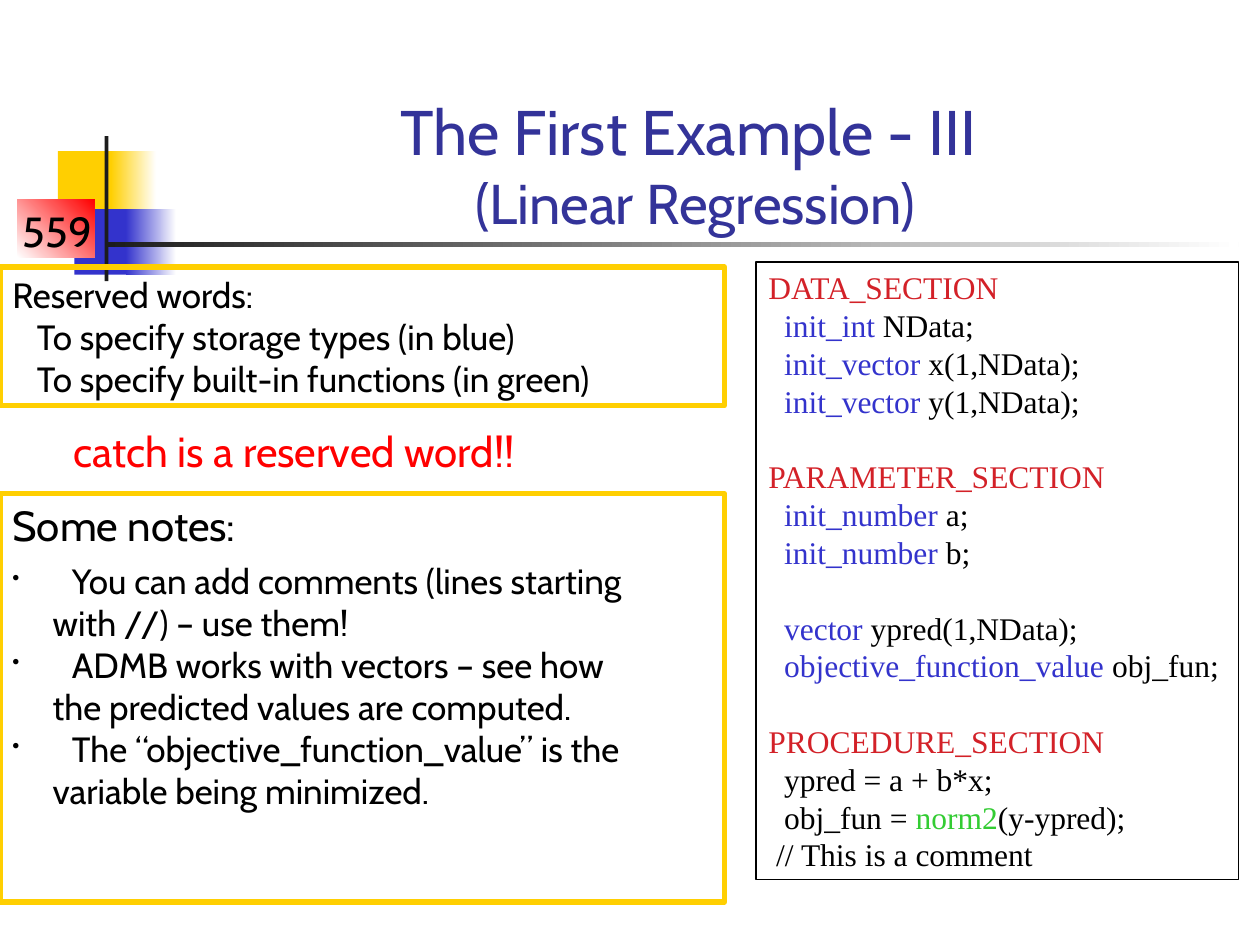
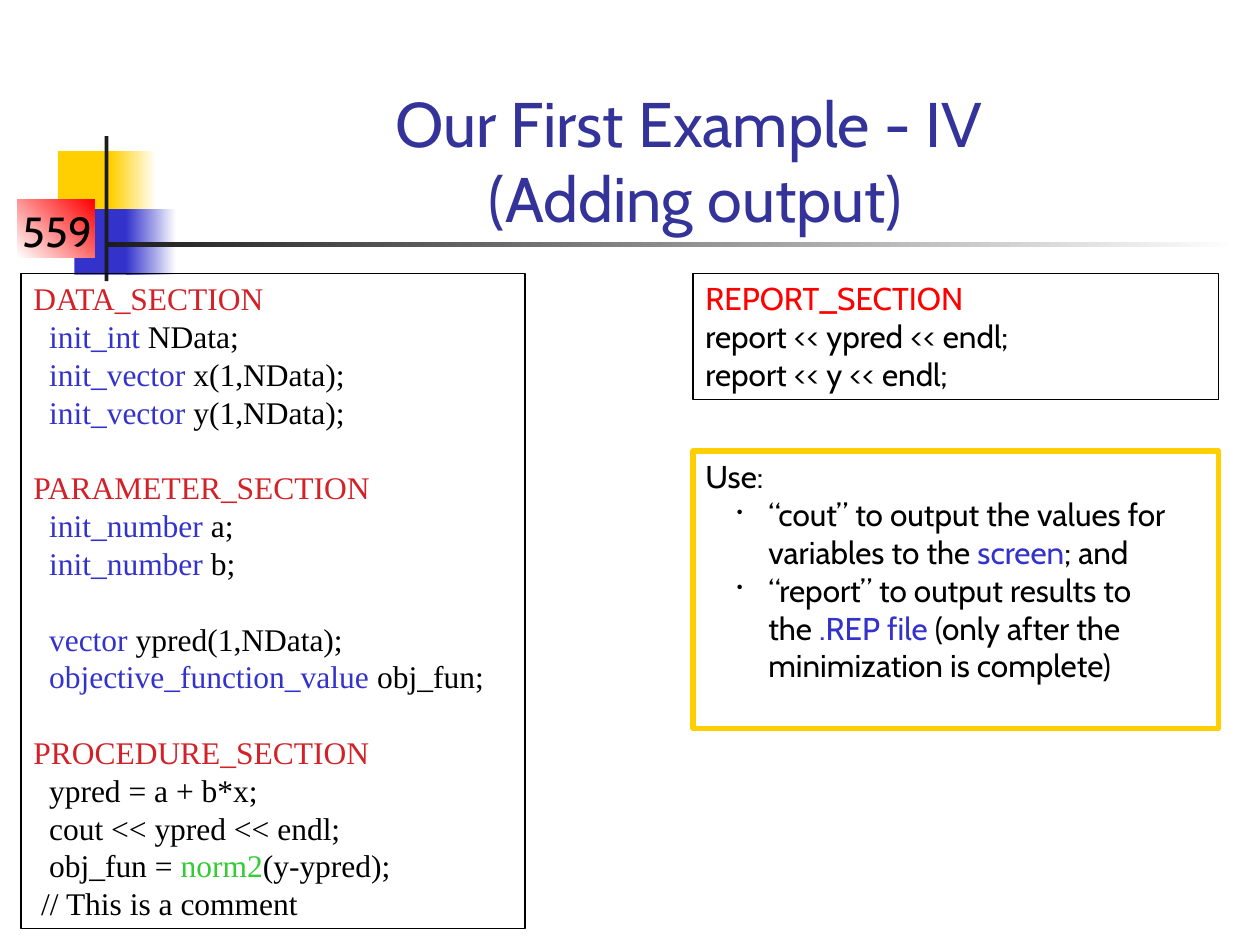
from lxml import etree
from pptx import Presentation
from pptx.dml.color import RGBColor
from pptx.enum.shapes import MSO_SHAPE
from pptx.enum.text import MSO_ANCHOR, MSO_AUTO_SIZE, PP_ALIGN
from pptx.oxml.ns import qn
from pptx.util import Pt

RECT = MSO_SHAPE.RECTANGLE
LEFT, CENTER = PP_ALIGN.LEFT, PP_ALIGN.CENTER
TOP, BOTTOM = MSO_ANCHOR.TOP, MSO_ANCHOR.BOTTOM
NO_FIT = MSO_AUTO_SIZE.NONE

COLORS = {
    "black": "000000", "white": "FFFFFF", "ink": "1C1C1C",
    "title": "333399", "gold": "FFCF01", "blue": "3333CC",
    "red": "FF0000", "section": "D32128", "green": "33CC33",
}
SANS, SERIF = "Cabin", "Times New Roman"
CODE_SIZE, CODE_LEADING, CODE_SPACE = 18, 21.6, 4.5
STORAGE_TYPES = {"init_int", "init_vector", "init_number", "vector",
                 "objective_function_value"}
BUILT_IN = "norm2"

CODE_HEAD = [
    "DATA_SECTION",
    "  init_int NData;",
    "  init_vector x(1,NData);",
    "  init_vector y(1,NData);",
    "",
    "PARAMETER_SECTION",
    "  init_number a;",
    "  init_number b;",
    "",
    "  vector ypred(1,NData);",
    "  objective_function_value obj_fun;",
    "",
    "PROCEDURE_SECTION",
    "  ypred = a + b*x;",
]
CODE_TAIL = ["  obj_fun = norm2(y-ypred);", " // This is a comment"]
OUTPUT_LINE = "  cout << ypred << endl;"


def rgb(name):
    return RGBColor.from_string(COLORS[name])


def highlight(line):
    """Split a code line into (text, colour) runs."""
    if line.endswith("_SECTION"):
        return [(line, "section")]
    word, space, rest = line.partition(" ")
    if word in STORAGE_TYPES:
        return [(word, "blue"), (space + rest, "black")]
    before, name, after = line.partition(BUILT_IN)
    runs = [(before, "black"), (name, "green"), (after, "black")]
    return [run for run in runs if run[0]]


class Deck:
    def __init__(self):
        self.prs = Presentation()
        self.prs.slide_width, self.prs.slide_height = Pt(720), Pt(540)
        self.s = None

    def slide(self, *title_lines):
        """Start a slide with the shared band and a title of (text, size) lines."""
        self.s = self.prs.slides.add_slide(self.prs.slide_layouts[5])
        self.band()
        sp = self.s.shapes.title
        sp.left, sp.top, sp.width, sp.height = Pt(90.7), Pt(48.2), Pt(613.5), Pt(90)
        tf = self.frame(sp, BOTTOM)
        for text, size in title_lines:
            self.para(tf, [(text, "title")], size, align=CENTER)

    def band(self):
        self.block(33.1, 86.4, 34.6, 37.4, "gold")
        self.block(63.4, 86.4, 25.9, 37.4, "gold", "white")
        self.block(42.5, 119.5, 33.1, 37.4, "blue")
        self.block(72, 119.5, 28.8, 37.4, "blue", "white")
        self.block(10, 113.8, 44, 33.1, "white", "red", 45)
        self.block(59.8, 77.8, 2.2, 82.8, "ink")
        self.block(59.8, 138.2, 648, 2.9, "ink", "white")
        self.label("559", 5.8, 113.8, 54, 64.8)

    def block(self, x, y, w, h, color, fade_to=None, angle=0):
        sp = self.s.shapes.add_shape(RECT, Pt(x), Pt(y), Pt(w), Pt(h))
        sp.shadow.inherit = False
        sp.line.fill.background()
        if fade_to:
            sp.fill.gradient()
            sp.fill.gradient_angle = angle
            for stop, name in zip(sp.fill.gradient_stops, (color, fade_to)):
                stop.color.rgb = rgb(name)
        else:
            sp.fill.solid()
            sp.fill.fore_color.rgb = rgb(color)

    def label(self, text, x, y, w, h, color="black", wrap=True):
        sp = self.s.shapes.add_textbox(Pt(x), Pt(y), Pt(w), Pt(h))
        tf = self.frame(sp, wrap=wrap)
        self.para(tf, [(text, color)], 24, align=CENTER)

    def box(self, x, y, w, h, line="gold", weight=3):
        """Draw an outlined box and return its text frame."""
        sp = self.s.shapes.add_shape(RECT, Pt(x), Pt(y), Pt(w), Pt(h))
        sp.shadow.inherit = False
        sp.fill.background()
        sp.line.color.rgb = rgb(line)
        sp.line.width = Pt(weight)
        return self.frame(sp)

    def code_box(self, x, y, w, h, lines):
        tf = self.box(x, y, w, h, "black", 0.75)
        gap = 0
        for line in lines:
            if not line:
                gap = CODE_LEADING
                continue
            code = line.lstrip()
            self.para(tf, highlight(code), CODE_SIZE, font=SERIF, before=gap,
                      indent=CODE_SPACE * (len(line) - len(code)),
                      leading=CODE_LEADING)
            gap = 0

    def frame(self, sp, anchor=TOP, wrap=True):
        tf = sp.text_frame
        tf.word_wrap = wrap
        tf.auto_size = NO_FIT
        tf.vertical_anchor = anchor
        return tf

    def para(self, tf, runs, size, font=SANS, align=LEFT, indent=0, hang=0,
             bullet_size=None, before=0, leading=None):
        """Add a paragraph of (text, colour) runs; bullet_size is in percent."""
        p = tf.paragraphs[0]
        if p.runs:
            p = tf.add_paragraph()
        p.alignment = align
        p.space_before = Pt(before)
        if leading:
            p.line_spacing = Pt(leading)
        pPr = p._p.get_or_add_pPr()
        pPr.set("marL", str(Pt(indent)))
        pPr.set("indent", str(Pt(-hang)))
        if bullet_size:
            color = etree.SubElement(pPr, qn("a:buClr"))
            etree.SubElement(color, qn("a:srgbClr"), val=COLORS["black"])
            etree.SubElement(pPr, qn("a:buSzPct"), val=str(bullet_size * 1000))
            etree.SubElement(pPr, qn("a:buChar"), char="•")
        for text, name in runs:
            r = p.add_run()
            r.text = text
            r.font.name = font
            r.font.size = Pt(size)
            r.font.color.rgb = rgb(name)


def regression_slide(deck):
    deck.slide(("The First Example - III ", 36), ("(Linear Regression)", 32))
    deck.code_box(432, 149.8, 275.8, 352.8, CODE_HEAD + CODE_TAIL)

    tf = deck.box(0, 152.6, 414, 79.2)
    deck.para(tf, [("Reserved words:", "black")], 20)
    for text in ("To specify storage types (in blue)",
                 "To specify built-in functions (in green)"):
        deck.para(tf, [(text, "black")], 20, indent=14)

    tf = deck.box(0, 282.2, 414, 233.3)
    deck.para(tf, [("Some notes:", "black")], 24)
    notes = [
        ("You can add comments (lines starting", "with //) – use them!"),
        ("ADMB works with vectors – see how", "the predicted values are computed."),
        ("The “objective_function_value” is the", "variable being minimized."),
    ]
    for i, (first, second) in enumerate(notes):
        deck.para(tf, [(first, "black")], 20, indent=34, hang=34,
                  bullet_size=60, before=0 if i else 5)
        deck.para(tf, [(second, "black")], 20, indent=23)

    deck.label("catch is a reserved word!!", 18, 239.8, 300.2, 36, "red", wrap=False)


def output_slide(deck):
    deck.slide(("Our First Example - IV ", 36), ("(Adding output)", 36))
    deck.code_box(12, 156.2, 288, 374.4, CODE_HEAD + [OUTPUT_LINE] + CODE_TAIL)

    tf = deck.box(396, 156.2, 300.2, 72, "black", 0.75)
    deck.para(tf, [("REPORT_SECTION", "red")], 18)
    for text in ("report << ypred << endl;", "report << y << endl;"):
        deck.para(tf, [(text, "black")], 18)

    tf = deck.box(396, 257.8, 300.2, 158.4)
    tf.margin_right = Pt(24)
    deck.para(tf, [("Use:", "black")], 18)
    uses = [
        ("“cout” to output the values for variables to the ", "screen", "; and"),
        ("“report” to output results to the ", ".REP file",
         " (only after the minimization is complete)"),
    ]
    for texts in uses:
        deck.para(tf, list(zip(texts, ("black", "blue", "black"))), 18,
                  indent=36, hang=18, bullet_size=55)


def main():
    deck = Deck()
    regression_slide(deck)
    output_slide(deck)
    deck.prs.save("out.pptx")


if __name__ == "__main__":
    main()
